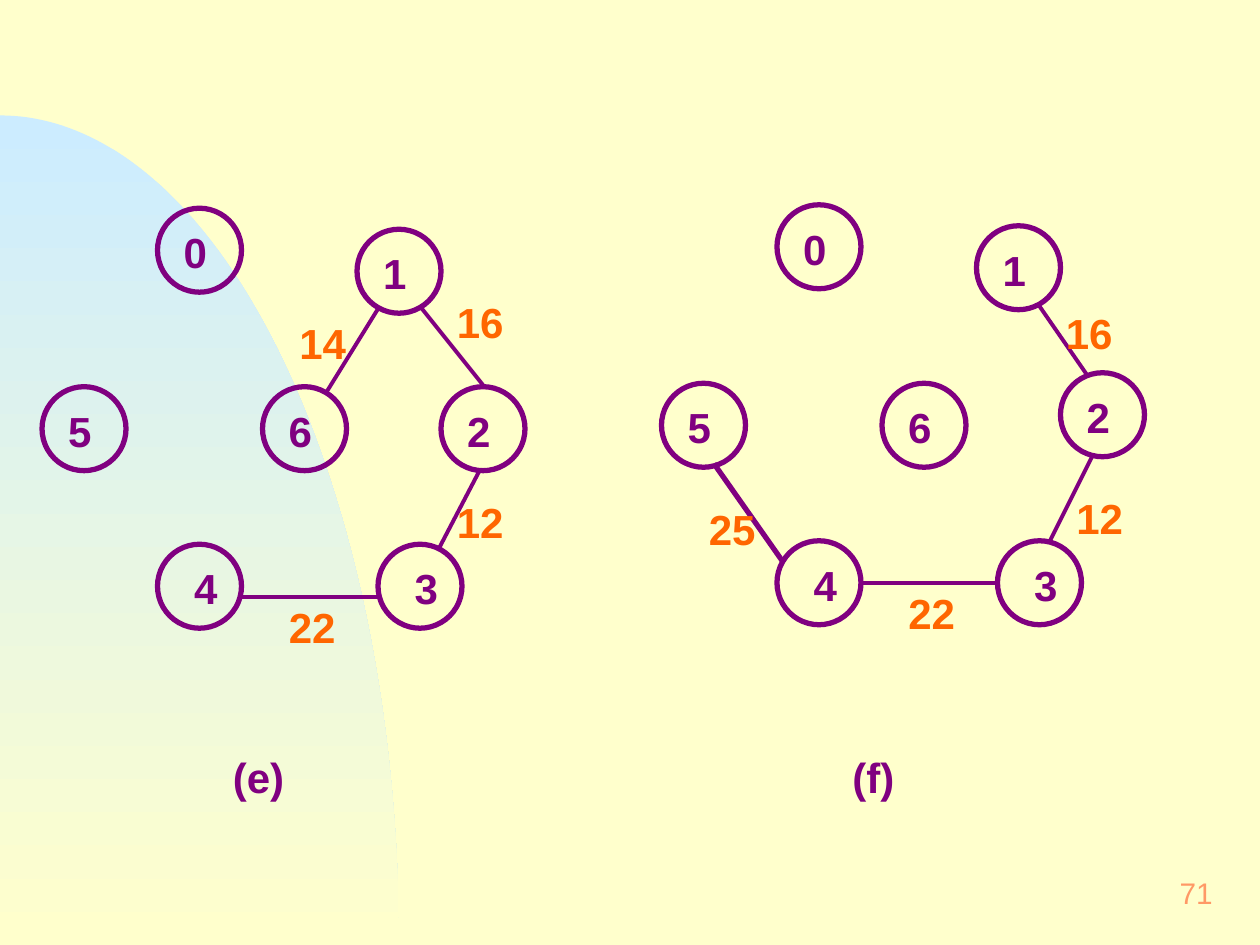
import math
from lxml import etree
from pptx import Presentation
from pptx.dml.color import RGBColor
from pptx.enum.shapes import MSO_CONNECTOR, MSO_SHAPE
from pptx.enum.text import MSO_ANCHOR, PP_ALIGN
from pptx.oxml.ns import qn
from pptx.util import Pt

LINE = MSO_CONNECTOR.STRAIGHT
OVAL = MSO_SHAPE.OVAL
LEFT, RIGHT = PP_ALIGN.LEFT, PP_ALIGN.RIGHT
TOP, MIDDLE = MSO_ANCHOR.TOP, MSO_ANCHOR.MIDDLE

CREAM, SKY = "FFFFCC", "CCECFF"
PURPLE, ORANGE, PEACH = "800080", "FF6600", "FF9966"
SIZE = 48

NODES = {
    "0": (66, 0), "1": (180, 12), "5": (0, 102), "2": (228, 102),
    "6": (126, 102), "4": (66, 192), "3": (192, 192),
}
LOW = ("3", "4")

EDGES_E = [
    ("12", (228, 160), (250, 150), (226.5, 195), 2.25),
    ("16", (228, 46), (216, 56), (252, 101), 2.25),
    ("14", (138, 58), (192, 57.5), (162, 106), 2.25),
    ("22", (132, 220), (192, 222), (114, 222), 2.25),
]
EDGES_F = [
    ("12", (228, 160), (246, 144), (222, 192), 2.25),
    ("22", (132, 214), (192, 216), (114, 216), 2.25),
    ("16", (222, 54), (216, 58), (243, 97), 2.25),
    ("25", (18, 166), (30, 148), (69, 203.5), 3),
]


def color(code):
    return RGBColor.from_string(code)


def add_text(shapes, text, box, size=24, code=PURPLE, bold=True,
             align=LEFT, anchor=TOP, inset=(9, 4.5), wrap=True):
    frame = shapes.add_textbox(*map(Pt, box)).text_frame
    frame.word_wrap = wrap
    frame.vertical_anchor = anchor
    frame.margin_left = frame.margin_right = Pt(inset[0])
    frame.margin_top = frame.margin_bottom = Pt(inset[1])
    para = frame.paragraphs[0]
    para.alignment = align
    run = para.add_run()
    run.text = text
    run.font.name = "Arial"
    run.font.size = Pt(size)
    run.font.bold = bold
    run.font.color.rgb = color(code)


def add_edge(shapes, start, end, width):
    line = shapes.add_connector(LINE, *map(Pt, (*start, *end)))
    line.line.color.rgb = color(PURPLE)
    line.line.width = Pt(width)
    etree.SubElement(line._element.spPr, qn("a:effectLst"))


def add_node(shapes, name, x, y):
    ring = shapes.add_shape(OVAL, *map(Pt, (x, y, SIZE, SIZE)))
    ring.shadow.inherit = False
    ring.fill.background()
    ring.line.color.rgb = color(PURPLE)
    ring.line.width = Pt(3)
    shift = 12 if name in LOW else 6
    add_text(shapes, name, (x + shift, y + 6, 36, 37.5))


def add_graph(slide, left, top, nodes, edges, title):
    shapes = slide.shapes.add_group_shape().shapes

    def place(point):
        return left + point[0], top + point[1]

    for weight, spot, start, end, width in edges:
        add_edge(shapes, place(start), place(end), width)
        add_text(shapes, weight, (*place(spot), 54, 37.5), code=ORANGE)
    for name, point in nodes.items():
        add_node(shapes, name, *place(point))
    add_text(slide.shapes, title, (left + 102, 426, 78, 36), inset=(7.2, 3.6))


def add_arc(slide, left, top, width, height, steps=90):
    angles = [math.pi / 2 * i / steps for i in range(steps + 1)]
    points = [(Pt(left + width * math.sin(a)),
               Pt(top + height * (1 - math.cos(a)))) for a in angles]
    build = slide.shapes.build_freeform(*points[0])
    build.add_line_segments(points[1:] + [(Pt(left), Pt(top + height))])
    arc = build.convert_to_shape()
    arc.shadow.inherit = False
    arc.line.fill.background()
    arc.fill.gradient()
    arc.fill.gradient_angle = 270
    for stop, code, spot in zip(arc.fill.gradient_stops, (SKY, CREAM), (0, 1)):
        stop.color.rgb = color(code)
        stop.position = spot


def main():
    deck = Presentation()
    deck.slide_width, deck.slide_height = Pt(720), Pt(540)
    slide = deck.slides.add_slide(deck.slide_layouts[6])
    back = slide.background.fill
    back.solid()
    back.fore_color.rgb = color(CREAM)
    add_arc(slide, 0, 66, 228, 474)
    add_graph(slide, 24, 119, NODES, EDGES_E, "(e)")
    add_graph(slide, 378, 117, {**NODES, "2": (228, 96)}, EDGES_F, "(f)")
    add_text(slide.shapes, "71", (552, 492, 150, 36), size=17, code=PEACH,
             bold=False, align=RIGHT, anchor=MIDDLE)
    deck.save("out.pptx")


if __name__ == "__main__":
    main()
